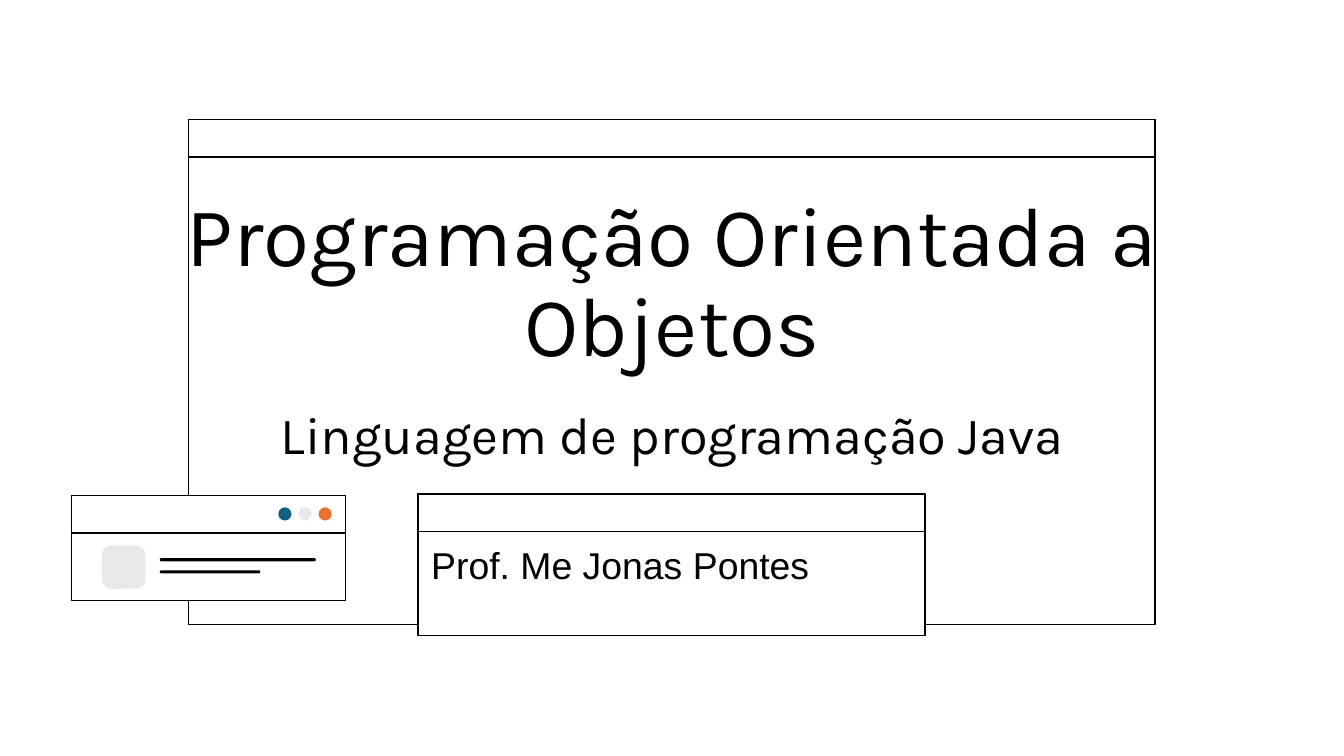
from dataclasses import dataclass

from pptx import Presentation
from pptx.dml.color import RGBColor
from pptx.enum.shapes import MSO_SHAPE
from pptx.enum.text import MSO_ANCHOR, MSO_AUTO_SIZE, PP_ALIGN
from pptx.util import Cm, Pt

RECTANGLE = MSO_SHAPE.RECTANGLE
ROUNDED = MSO_SHAPE.ROUNDED_RECTANGLE
OVAL = MSO_SHAPE.OVAL
LEFT, CENTER = PP_ALIGN.LEFT, PP_ALIGN.CENTER
TOP, MIDDLE, BOTTOM = MSO_ANCHOR.TOP, MSO_ANCHOR.MIDDLE, MSO_ANCHOR.BOTTOM
TITLE_ONLY = 5


@dataclass(frozen=True)
class Theme:
    black: RGBColor = RGBColor(0x00, 0x00, 0x00)
    white: RGBColor = RGBColor(0xFF, 0xFF, 0xFF)
    gray: RGBColor = RGBColor(0xE8, 0xE8, 0xE8)
    blue: RGBColor = RGBColor(0x15, 0x60, 0x82)
    orange: RGBColor = RGBColor(0xE9, 0x71, 0x32)
    heading_font: str = "Karla"
    body_font: str = "Arial"
    title_size: Pt = Pt(45)
    subtitle_size: Pt = Pt(28)
    author_size: Pt = Pt(20)
    outline: Pt = Pt(0.75)
    margin: Cm = Cm(0.25)
    bar_height: float = 0.71


THEME = Theme()


def set_attributes(target, values):
    for name, value in values.items():
        setattr(target, name, value)


def add_block(slide, kind, left, top, width, height, fill, outlined=False):
    shape = slide.shapes.add_shape(kind, Cm(left), Cm(top), Cm(width), Cm(height))
    shape.shadow.inherit = False
    shape.fill.solid()
    shape.fill.fore_color.rgb = fill
    if outlined:
        shape.line.color.rgb = THEME.black
        shape.line.width = THEME.outline
    else:
        shape.line.fill.background()
    return shape


def add_window(slide, left, top, width, height):
    """Draw a window with a title bar and return its body."""
    body = add_block(slide, RECTANGLE, left, top, width, height, THEME.white, True)
    add_block(slide, RECTANGLE, left, top, width, THEME.bar_height, THEME.white, True)
    return body


def write_text(shape, text, font, size, alignment, anchor, spacing=1.0):
    frame = shape.text_frame
    set_attributes(frame, {
        "text": text, "word_wrap": True, "auto_size": MSO_AUTO_SIZE.NONE,
        "vertical_anchor": anchor,
        "margin_left": THEME.margin, "margin_right": THEME.margin,
        "margin_top": THEME.margin, "margin_bottom": THEME.margin,
    })
    paragraph = frame.paragraphs[0]
    set_attributes(paragraph, {"alignment": alignment, "line_spacing": spacing})
    run_font = paragraph.runs[0].font
    set_attributes(run_font, {"name": font, "size": size})
    run_font.color.rgb = THEME.black


def add_title(slide, text):
    title = slide.shapes.title
    set_attributes(title, {"left": Cm(3.18), "top": Cm(2.36),
                           "width": Cm(19.05), "height": Cm(4.98)})
    write_text(title, text, THEME.heading_font, THEME.title_size, CENTER, BOTTOM, 0.9)
    # Bring the title in front of the windows
    title.element.getparent().append(title.element)


def add_subtitle(slide, text):
    box = slide.shapes.add_textbox(Cm(3.18), Cm(7.49), Cm(19.05), Cm(3.45))
    write_text(box, text, THEME.heading_font, THEME.subtitle_size, CENTER, TOP, 0.9)


def add_browser_icon(slide):
    add_window(slide, 1.35, 9.37, 5.18, 1.98)
    # Avatar and text lines
    avatar = add_block(slide, ROUNDED, 1.93, 10.31, 0.82, 0.82, THEME.gray)
    avatar.adjustments[0] = 0.22
    for top, width in ((10.55, 2.95), (10.78, 1.9)):
        line = add_block(slide, ROUNDED, 3.02, top, width, 0.06, THEME.black)
        line.adjustments[0] = 0.5
    # Window buttons
    for index, color in enumerate((THEME.blue, THEME.gray, THEME.orange)):
        add_block(slide, OVAL, 5.26 + 0.38 * index, 9.59, 0.25, 0.25, color)


def main():
    presentation = Presentation()
    presentation.slide_width = Cm(25.4)
    presentation.slide_height = Cm(14.29)
    slide = presentation.slides.add_slide(presentation.slide_layouts[TITLE_ONLY])

    # Main window and author card
    add_window(slide, 3.56, 2.26, 18.27, 9.55)
    author = add_window(slide, 7.9, 9.34, 9.58, 2.68)
    write_text(author, "Prof. Me Jonas Pontes", THEME.body_font,
               THEME.author_size, LEFT, MIDDLE)

    # Headings
    add_title(slide, "Programação Orientada a Objetos")
    add_subtitle(slide, "Linguagem de programação Java")

    # Small browser decoration
    add_browser_icon(slide)
    presentation.save("out.pptx")


if __name__ == "__main__":
    main()
